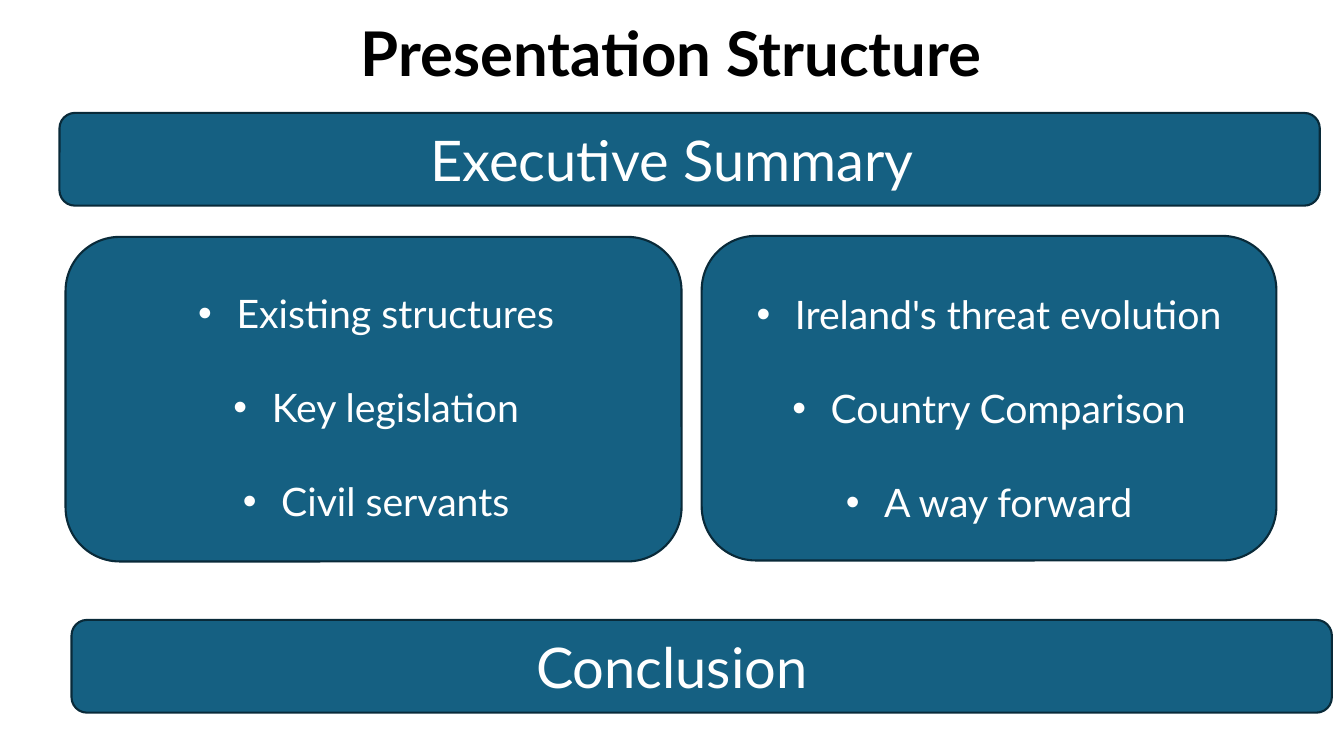
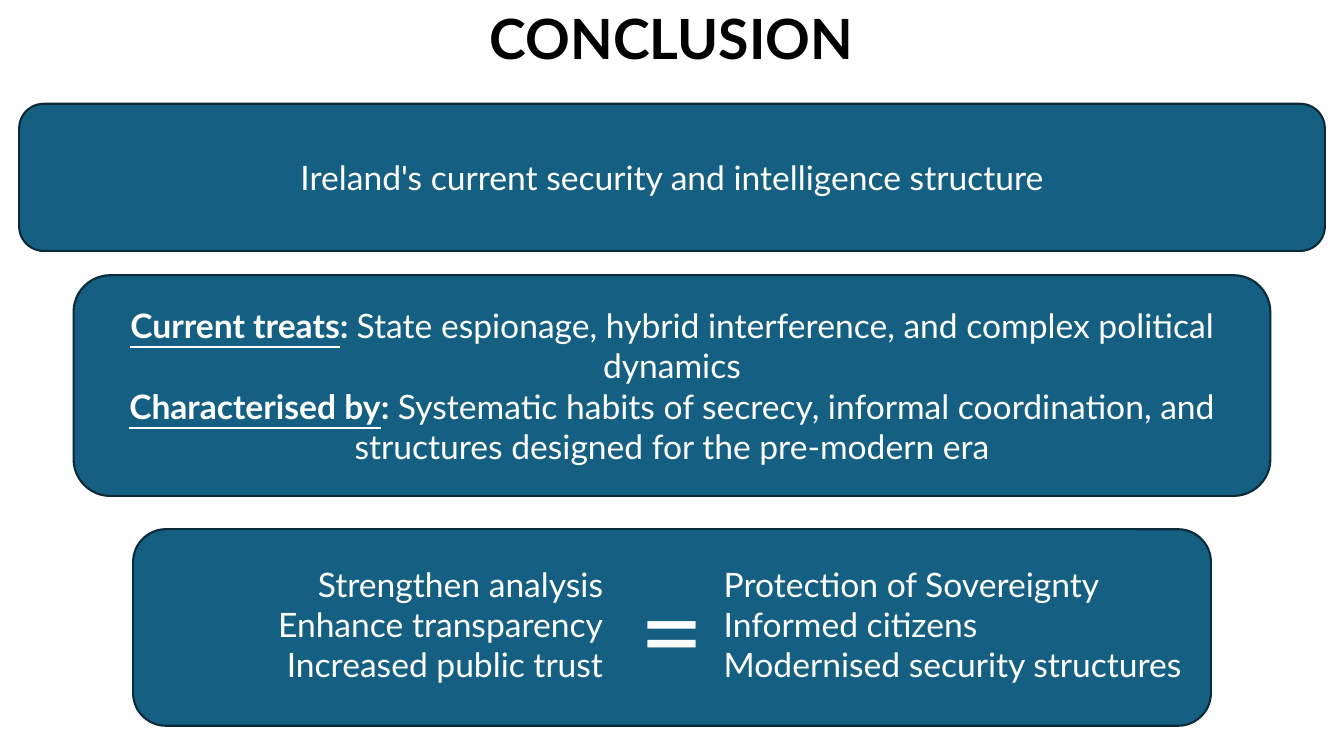
import pptx
import pptx.dml.color
import pptx.enum.shapes
import pptx.enum.text
import pptx.util
from lxml import etree

# Shared look: 100 px to the inch
PX = 9144
SLIDE_WIDTH, SLIDE_HEIGHT = 1333, 750
FONT = "Lato"
PANEL_FILL, PANEL_LINE = "156082", "092A39"
WHITE, BLACK = "FFFFFF", "000000"
INSET = 10
BULLET_INDENT = 38
BULLET_GAP = 33.6
ALIGN = pptx.enum.text.PP_ALIGN
MIDDLE = pptx.enum.text.MSO_ANCHOR.MIDDLE
EMPHASIS = {"bold": True, "underline": True}


def px(length):
    return pptx.util.Emu(round(length * PX))


def color(value):
    return pptx.dml.color.RGBColor.from_string(value)


def set_values(target, values):
    for name, value in values.items():
        setattr(target, name, value)


def add_bullet(paragraph):
    properties = paragraph._p.get_or_add_pPr()
    properties.set("marL", str(px(BULLET_INDENT)))
    properties.set("indent", str(-px(BULLET_INDENT)))
    namespace = pptx.oxml.ns.nsuri("a")
    etree.SubElement(properties, f"{{{namespace}}}buFont", typeface="Arial")
    etree.SubElement(properties, f"{{{namespace}}}buChar", char="•")


def write_text(frame, paragraphs, size, align=ALIGN.CENTER, font_color=WHITE, bulleted=False):
    """Each paragraph is a string or a list of (text, font values) runs."""
    frame.word_wrap = True
    for index, content in enumerate(paragraphs):
        paragraph = frame.add_paragraph() if index else frame.paragraphs[0]
        paragraph.alignment = align
        if bulleted:
            add_bullet(paragraph)
            if index:
                paragraph.space_before = pptx.util.Pt(BULLET_GAP)
        for text, values in [(content, {})] if isinstance(content, str) else content:
            run = paragraph.add_run()
            run.text = text
            set_values(run.font, {"name": FONT, "size": pptx.util.Pt(size), **values})
            run.font.color.rgb = color(font_color)


def add_title_slide(presentation, text, height, size):
    slide = presentation.slides.add_slide(presentation.slide_layouts[5])
    title = slide.shapes.title
    set_values(title, {"left": px(91), "top": px(10), "width": px(1150), "height": px(height)})
    set_values(title.text_frame, {
        "vertical_anchor": MIDDLE,
        "auto_size": pptx.enum.text.MSO_AUTO_SIZE.NONE,
    })
    write_text(title.text_frame, [[(text, {"bold": True})]], size, font_color=BLACK)
    title.text_frame.paragraphs[0].line_spacing = 0.9
    return slide


def add_panel(slide, box, paragraphs, size, bulleted=False, **insets):
    panel = slide.shapes.add_shape(
        pptx.enum.shapes.MSO_SHAPE.ROUNDED_RECTANGLE, *map(px, box))
    panel.shadow.inherit = False
    panel.fill.solid()
    panel.fill.fore_color.rgb = color(PANEL_FILL)
    panel.line.color.rgb = color(PANEL_LINE)
    panel.line.width = pptx.util.Pt(1.5)
    panel.text_frame.vertical_anchor = MIDDLE
    set_values(panel.text_frame, {f"margin_{side}": px(inset) for side, inset in insets.items()})
    write_text(panel.text_frame, paragraphs, size, bulleted=bulleted)


def add_banner(slide, left, top, text):
    """A wide band whose text stays centred on the slide."""
    width = 1250
    offset = left + width / 2 - SLIDE_WIDTH / 2
    add_panel(slide, (left, top, width, 92), [text], 40, right=INSET + 2 * offset)


def add_list(slide, box, lines, align):
    text_box = slide.shapes.add_textbox(*map(px, box))
    write_text(text_box.text_frame, lines, 24, align)


def build_structure(presentation):
    slide = add_title_slide(presentation, "Presentation Structure", 92, 44)
    add_banner(slide, 59, 112, "Executive Summary")
    add_banner(slide, 71, 615, "Conclusion")

    # Two topic panels, text slightly below their middle
    add_panel(slide, (65, 235, 611, 322),
              ["Existing structures", "Key legislation", "Civil servants"],
              28, bulleted=True, left=15, top=20)
    add_panel(slide, (696, 234, 570, 322),
              ["Ireland's threat evolution", "Country Comparison", "A way forward"],
              28, bulleted=True, top=24)


def build_conclusion(presentation):
    slide = add_title_slide(presentation, "CONCLUSION", 63, 39.6)

    # Situation
    add_panel(slide, (19, 103, 1295, 146),
              ["Ireland's current security and intelligence structure"], 24)
    add_panel(slide, (73, 273, 1187, 219), [
        [("Current treats", EMPHASIS), (": ", {"bold": True}),
         ("State espionage, hybrid interference, and complex political dynamics", {})],
        [("Characterised by", EMPHASIS), (":", {"bold": True}),
         (" Systematic habits of secrecy, informal coordination, and structures "
          "designed for the pre-modern era", {})],
    ], 24)

    # Measures and what they lead to
    add_panel(slide, (132, 525, 1069, 195), ["="], 80)
    add_list(slide, (185, 554, 423, 131),
             ["Strengthen analysis", "Enhance transparency", "Increased public trust"],
             ALIGN.RIGHT)
    add_list(slide, (708, 554, 573, 131),
             ["Protection of Sovereignty", "Informed citizens", "Modernised security structures"],
             ALIGN.LEFT)


def main():
    presentation = pptx.Presentation()
    presentation.slide_width = px(SLIDE_WIDTH)
    presentation.slide_height = px(SLIDE_HEIGHT)
    build_structure(presentation)
    build_conclusion(presentation)
    presentation.save("out.pptx")


if __name__ == "__main__":
    main()
